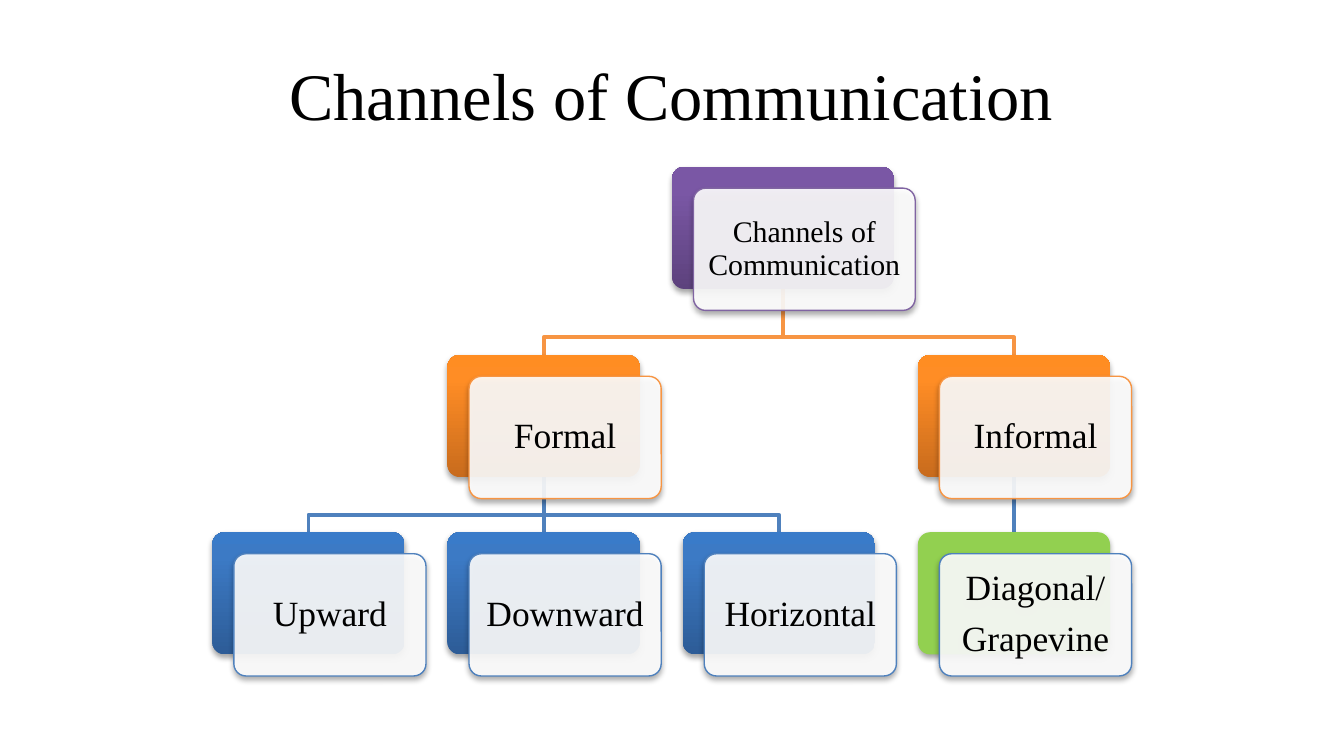
from lxml.etree import SubElement
from pptx import Presentation
from pptx.dml.color import RGBColor
from pptx.enum.shapes import MSO_CONNECTOR, MSO_SHAPE
from pptx.enum.text import MSO_ANCHOR, PP_ALIGN
from pptx.oxml import parse_xml
from pptx.oxml.ns import nsdecls, qn
from pptx.util import Inches, Pt

FONT = "Times New Roman"
BLACK = RGBColor(0x00, 0x00, 0x00)
WHITE = RGBColor(0xFF, 0xFF, 0xFF)
PURPLE = RGBColor(0x80, 0x64, 0xA2)
ORANGE = RGBColor(0xF7, 0x95, 0x43)
BLUE = RGBColor(0x4F, 0x81, 0xBD)
GREEN = RGBColor(0x92, 0xD0, 0x50)

# Gradient colours from bottom to top of a back card, at 0, 80 and 100 %
GRADIENTS = {
    PURPLE: [RGBColor(0x5D, 0x42, 0x7D), RGBColor(0x7A, 0x57, 0xA5), RGBColor(0x7A, 0x56, 0xA7)],
    ORANGE: [RGBColor(0xC8, 0x6B, 0x1D), RGBColor(0xFF, 0x8D, 0x25), RGBColor(0xFF, 0x8D, 0x22)],
    BLUE: [RGBColor(0x2D, 0x5C, 0x97), RGBColor(0x3C, 0x7A, 0xC5), RGBColor(0x39, 0x7B, 0xC9)],
}

CARD_HEIGHT = 0.91
CARD_WIDTH = 1.43
ROOT_WIDTH = 1.65
CARD_OFFSET = 0.16
COLUMN_STEP = 1.75
LEVEL_TOPS = [0, 1.4, 2.72]
ELBOW_RISE = 0.13


def write_text(shape, text, size, inset=0.05, line_spacing=None, space_before=0):
    """Fill a shape with centred text, one paragraph for each line."""
    frame = shape.text_frame
    frame.word_wrap = True
    frame.vertical_anchor = MSO_ANCHOR.MIDDLE
    frame.margin_left = frame.margin_right = Inches(inset)
    frame.margin_top = frame.margin_bottom = Inches(inset)
    frame.text = text
    for index, paragraph in enumerate(frame.paragraphs):
        paragraph.alignment = PP_ALIGN.CENTER
        paragraph.line_spacing = line_spacing
        paragraph.space_before = Pt(space_before if index else 0)
        paragraph.font.name = FONT
        paragraph.font.size = Pt(size)
        paragraph.font.color.rgb = BLACK


def fill_gradient(shape, colors):
    stops = "".join(
        f'<a:gs pos="{position}"><a:srgbClr val="{color}"/></a:gs>'
        for position, color in zip((0, 80000, 100000), colors))
    gradient = parse_xml(
        f'<a:gradFill {nsdecls("a")} rotWithShape="1"><a:gsLst>{stops}</a:gsLst>'
        '<a:lin ang="16200000" scaled="0"/></a:gradFill>')
    shape.element.spPr.find(qn("a:prstGeom")).addnext(gradient)


def add_shadow(shape):
    shape.shadow.inherit = False
    effects = shape.element.spPr.find(qn("a:effectLst"))
    effects.append(parse_xml(
        f'<a:outerShdw {nsdecls("a")} blurRad="{Pt(3.1)}" dist="{Pt(1.8)}" dir="5400000" '
        'rotWithShape="0"><a:srgbClr val="000000"><a:alpha val="35000"/></a:srgbClr></a:outerShdw>'))


def add_rounded_card(slide, left, top, width):
    card = slide.shapes.add_shape(MSO_SHAPE.ROUNDED_RECTANGLE, Inches(left), Inches(top),
                                  Inches(width), Inches(CARD_HEIGHT))
    card.adjustments[0] = 0.1
    return card


def add_node(slide, left, top, width, text, color, back_color=None, size=19):
    """Place a coloured card with a translucent label card over it; return the back card."""
    back = add_rounded_card(slide, left, top, width)
    back.line.fill.background()
    if back_color is None:
        fill_gradient(back, GRADIENTS[color])
    else:
        back.fill.solid()
        back.fill.fore_color.rgb = back_color
    add_shadow(back)

    label = add_rounded_card(slide, left + CARD_OFFSET, top + CARD_OFFSET, width)
    label.fill.solid()
    label.fill.fore_color.rgb = WHITE
    white = label.element.spPr.find(qn("a:solidFill")).find(qn("a:srgbClr"))
    SubElement(white, qn("a:alpha")).set("val", "90000")
    label.line.color.rgb = color
    label.line.width = Pt(0.75)
    add_shadow(label)
    write_text(label, text, size, line_spacing=0.9, space_before=6.7)
    return back


def link_nodes(slide, parent, child, color, backmost):
    """Join two back cards, behind all cards: straight when aligned, else with an elbow."""
    start_x, start_y = parent.left + parent.width // 2, parent.top + parent.height
    end_x, end_y = child.left + child.width // 2, child.top
    if start_x == end_x:
        link = slide.shapes.add_connector(MSO_CONNECTOR.STRAIGHT, start_x, start_y, end_x, end_y)
        link.begin_connect(parent, 2)
        link.end_connect(child, 0)
        SubElement(link.element.spPr, qn("a:effectLst"))
    else:
        bend_y = end_y - Inches(ELBOW_RISE)
        builder = slide.shapes.build_freeform(start_x, start_y)
        builder.add_line_segments([(start_x, bend_y), (end_x, bend_y), (end_x, end_y)], close=False)
        link = builder.convert_to_shape()
        link.fill.background()
        link.shadow.inherit = False
    link.line.color.rgb = color
    link.line.width = Pt(2)
    backmost.element.addprevious(link.element)


def add_title(slide, left, top, width, height):
    title = slide.shapes.title
    title.left, title.top = Inches(left), Inches(top)
    title.width, title.height = Inches(width), Inches(height)
    write_text(title, "Channels of Communication", 35.6)


def add_channel_tree(slide, left, top):
    root_top, branch_top, leaf_top = [top + offset for offset in LEVEL_TOPS]
    columns = [left + COLUMN_STEP * index for index in range(4)]

    # Cards
    root = add_node(slide, left + 3.42, root_top, ROOT_WIDTH, "Channels of Communication",
                    PURPLE, size=16)
    formal, informal = [
        add_node(slide, columns[column], branch_top, CARD_WIDTH, text, ORANGE)
        for column, text in ((1, "Formal"), (3, "Informal"))]
    leaves = [
        add_node(slide, column, leaf_top, CARD_WIDTH, text, BLUE, back_color)
        for column, text, back_color in zip(
            columns, ("Upward", "Downward", "Horizontal", "Diagonal/\nGrapevine"),
            (None, None, None, GREEN))]

    # Links
    for branch in (formal, informal):
        link_nodes(slide, root, branch, ORANGE, backmost=root)
    for leaf, parent in zip(leaves, (formal, formal, formal, informal)):
        link_nodes(slide, parent, leaf, BLUE, backmost=root)


def main():
    presentation = Presentation()
    presentation.slide_width = Inches(10)
    presentation.slide_height = Inches(10) * 9 // 16
    slide = presentation.slides.add_slide(presentation.slide_layouts[5])
    add_title(slide, 0.5, 0.23, 9, 0.94)
    add_channel_tree(slide, 1.58, 1.24)
    presentation.save("out.pptx")


if __name__ == "__main__":
    main()
